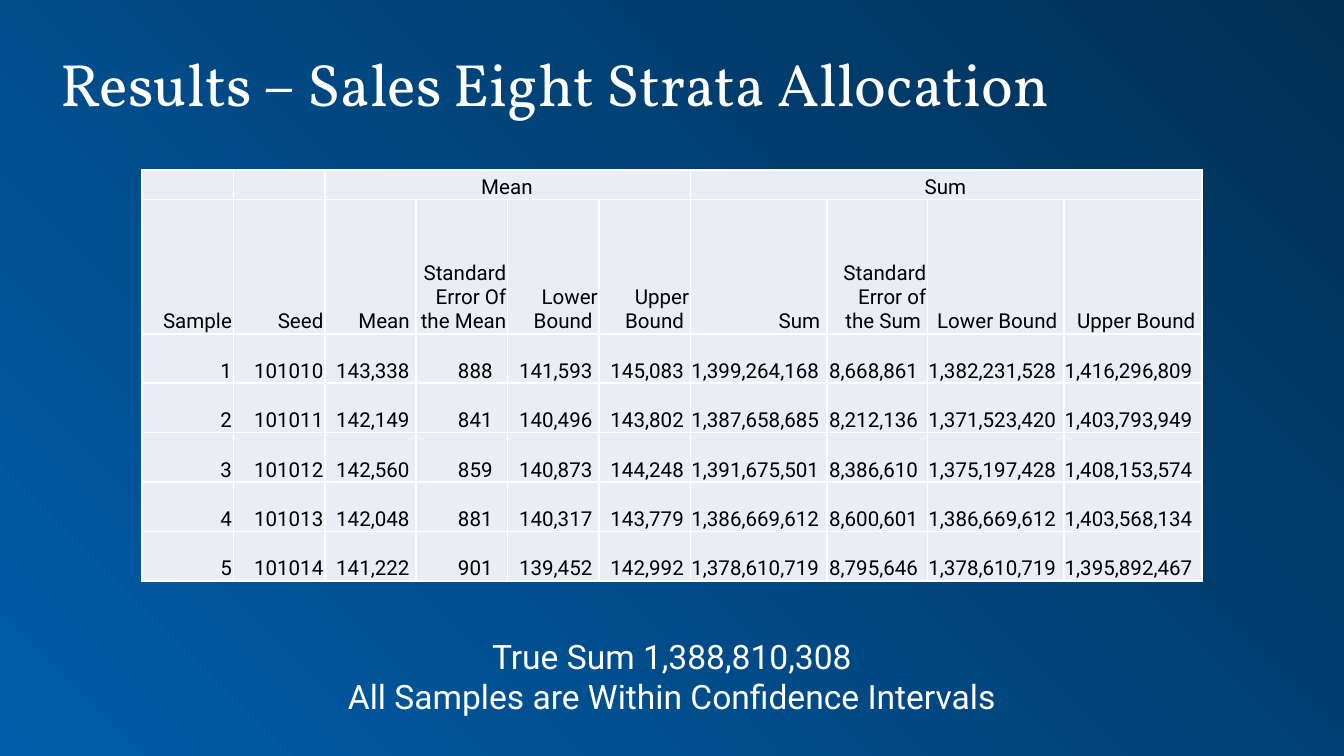
from pptx import Presentation
from pptx.dml.color import RGBColor
from pptx.enum.text import MSO_ANCHOR as Anchor, PP_ALIGN as Align
from pptx.oxml import parse_xml
from pptx.oxml.ns import nsdecls
from pptx.util import Pt

NAVY = RGBColor(0x00, 0x2F, 0x54)
BLUE = RGBColor(0x00, 0x5D, 0xA9)
PALE = RGBColor(0xEA, 0xED, 0xF4)
WHITE = RGBColor(0xFF, 0xFF, 0xFF)
BLACK = RGBColor(0x00, 0x00, 0x00)

COLUMN_WIDTHS = [49] * 6 + [73, 54, 73, 74]
ROW_HEIGHTS = [15.8, 72] + [26.5] * 5
NUMBER_INSETS = [0.7, 0.7, 3.5, 8, 3.5, 3.5, 4, 5, 4, 5]
GROUPS = {2: "Mean", 6: "Sum"}
HEADERS = [
    "Sample", "Seed", "Mean ", "Standard Error Of the Mean ", "Lower Bound ",
    "Upper Bound ", "Sum ", "Standard Error of the Sum ", "Lower Bound ", "Upper Bound ",
]
SAMPLES = [
    (1, 101010, 143338, 888, 141593, 145083, 1399264168, 8668861, 1382231528, 1416296809),
    (2, 101011, 142149, 841, 140496, 143802, 1387658685, 8212136, 1371523420, 1403793949),
    (3, 101012, 142560, 859, 140873, 144248, 1391675501, 8386610, 1375197428, 1408153574),
    (4, 101013, 142048, 881, 140317, 143779, 1386669612, 8600601, 1386669612, 1403568134),
    (5, 101014, 141222, 901, 139452, 142992, 1378610719, 8795646, 1378610719, 1395892467),
]


def style_paragraph(para, font_name, size, color, align):
    """Set the font and alignment of a whole paragraph."""
    para.alignment = align
    para.font.name = font_name
    para.font.size = Pt(size)
    para.font.color.rgb = color


def paint_background(page):
    """Fill the page with a gradient from the top right to the bottom left."""
    fill = page.background.fill
    fill.gradient()
    fill.gradient_angle = 225
    for stop, color in zip(fill.gradient_stops, (NAVY, BLUE)):
        stop.color.rgb = color


def add_title(page, left, top, width, height):
    """Place the slide title, centred vertically in its box."""
    frame = page.shapes.add_textbox(Pt(left), Pt(top), Pt(width), Pt(height)).text_frame
    frame.word_wrap = True
    frame.vertical_anchor = Anchor.MIDDLE
    para = frame.paragraphs[0]
    para.text = "Results – Sales Eight Strata Allocation"
    para.line_spacing = 0.9
    style_paragraph(para, "Vollkorn", 32, WHITE, Align.LEFT)


def style_cell(cell, text, align, right_inset):
    """Fill one cell with text, white borders and a pale ground."""
    cell.text = text
    cell.vertical_anchor = Anchor.BOTTOM
    cell.margin_left = cell.margin_bottom = 0
    cell.margin_top = Pt(0.7)
    cell.margin_right = Pt(right_inset)
    para = cell.text_frame.paragraphs[0]
    style_paragraph(para, "Roboto", 11, BLACK, align)
    para._p.get_or_add_endParaRPr().set("sz", "1100")
    properties = cell._tc.get_or_add_tcPr()
    for side in "LRTB":
        properties.append(parse_xml(
            f'<a:ln{side} {nsdecls("a")} w="12700"><a:solidFill>'
            f'<a:srgbClr val="{WHITE}"/></a:solidFill></a:ln{side}>'
        ))
    cell.fill.solid()
    cell.fill.fore_color.rgb = PALE


def add_results_table(page, left, top):
    """Place the table of sample estimates under two group headings."""
    table = page.shapes.add_table(
        len(ROW_HEIGHTS), len(COLUMN_WIDTHS), Pt(left), Pt(top),
        Pt(sum(COLUMN_WIDTHS)), Pt(sum(ROW_HEIGHTS)),
    ).table
    for column, width in zip(table.columns, COLUMN_WIDTHS):
        column.width = Pt(width)
    for row, height in zip(table.rows, ROW_HEIGHTS):
        row.height = Pt(height)
    for index, header in enumerate(HEADERS):
        style_cell(table.cell(0, index), GROUPS.get(index, ""), Align.CENTER, 0.7)
        style_cell(table.cell(1, index), header, Align.RIGHT, 0.7)
        for row_index, sample in enumerate(SAMPLES, 2):
            text = f"{sample[index]:,}" if index > 1 else str(sample[index])
            style_cell(table.cell(row_index, index), text, Align.RIGHT, NUMBER_INSETS[index])
    for start in GROUPS:
        table.cell(0, start).merge(table.cell(0, start + 3))


def add_conclusion(page, left, top, width, height):
    """Place the two centred closing lines."""
    frame = page.shapes.add_textbox(Pt(left), Pt(top), Pt(width), Pt(height)).text_frame
    frame.word_wrap = True
    frame.text = "True Sum 1,388,810,308\nAll Samples are Within Confidence Intervals"
    for para in frame.paragraphs:
        style_paragraph(para, "Roboto", 18, WHITE, Align.CENTER)


def main():
    """Build the slide and save the deck."""
    deck = Presentation()
    deck.slide_width, deck.slide_height = Pt(720), Pt(405)
    page = deck.slides.add_slide(deck.slide_layouts[6])
    paint_background(page)
    add_title(page, 25.2, 0, 674, 93)
    add_results_table(page, 76, 91)
    add_conclusion(page, 176, 337, 368, 51)
    deck.save("out.pptx")


if __name__ == "__main__":
    main()
